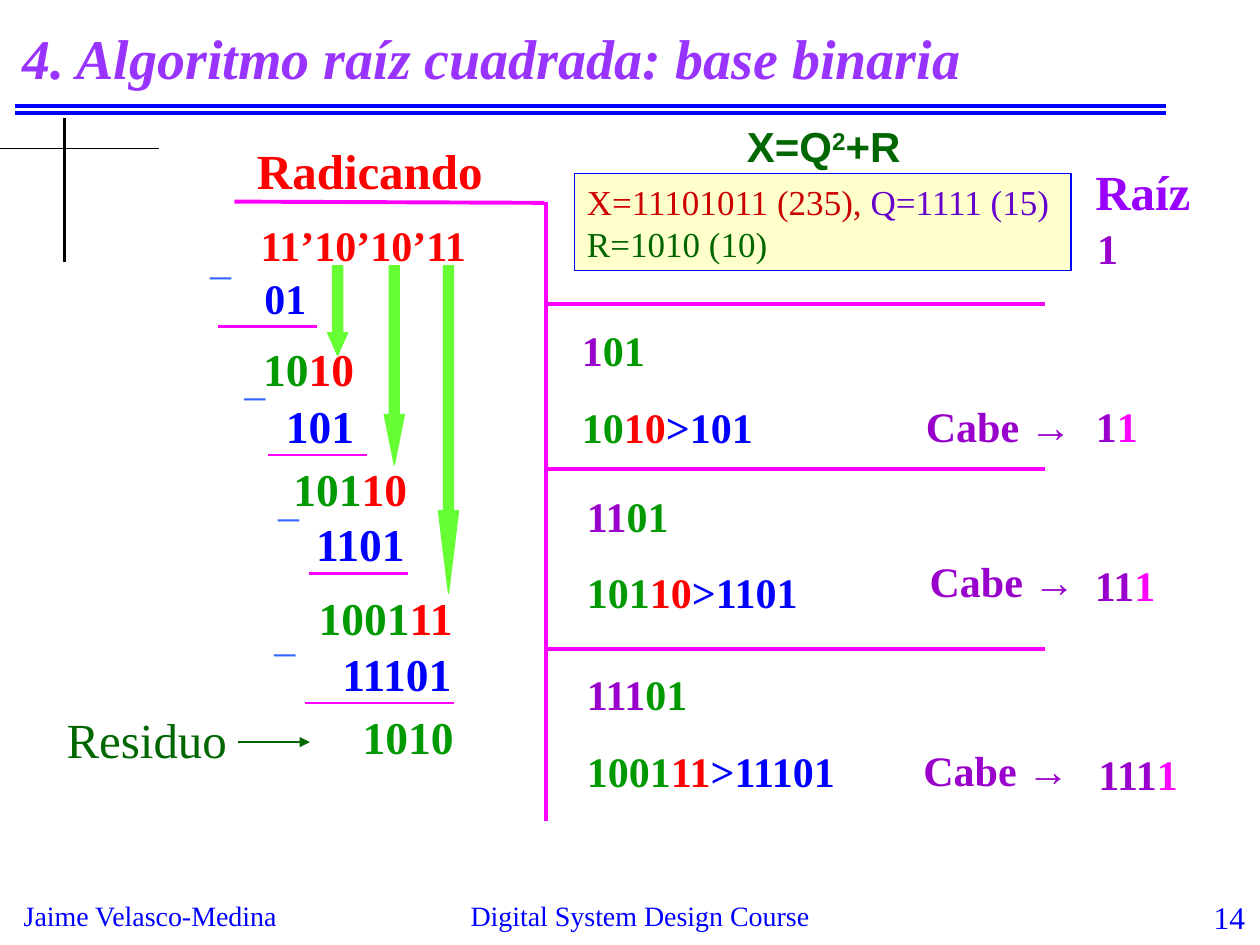
from dataclasses import dataclass

from lxml.etree import SubElement
from pptx import Presentation
from pptx.dml.color import RGBColor
from pptx.enum.shapes import MSO_CONNECTOR, MSO_SHAPE
from pptx.enum.text import MSO_ANCHOR, MSO_AUTO_SIZE, PP_ALIGN
from pptx.oxml.ns import qn
from pptx.util import Inches, Pt

BLUE = RGBColor(0x00, 0x00, 0xFF)
BLACK = RGBColor(0x00, 0x00, 0x00)
RED = RGBColor(0xFF, 0x00, 0x00)
DARK_RED = RGBColor(0xCC, 0x00, 0x00)
GREEN = RGBColor(0x00, 0x99, 0x00)
DARK_GREEN = RGBColor(0x00, 0x66, 0x00)
LIME = RGBColor(0x66, 0xFF, 0x33)
MAGENTA = RGBColor(0xFF, 0x00, 0xFF)
PURPLE = RGBColor(0x99, 0x00, 0xCC)
VIOLET = RGBColor(0x99, 0x00, 0xFF)
INDIGO = RGBColor(0x66, 0x00, 0xCC)
TITLE_VIOLET = RGBColor(0x99, 0x33, 0xFF)
SKY = RGBColor(0x33, 0x66, 0xFF)
CREAM = RGBColor(0xFF, 0xFF, 0xCC)

SERIF = "Times New Roman"


@dataclass
class Run:
    text: str
    color: RGBColor
    baseline: int = 0


@dataclass
class Label:
    left: float
    top: float
    width: float
    height: float
    paragraphs: list[list[Run]]
    size: float = 24
    bold: bool = True
    italic: bool = False
    font: str = SERIF
    align: PP_ALIGN = PP_ALIGN.LEFT
    wrap: bool = True


@dataclass
class Rule:
    x1: float
    y1: float
    x2: float
    y2: float
    color: RGBColor = MAGENTA
    weight: float = 2.25
    arrow: bool = False


@dataclass
class DownArrow:
    left: float
    height: float
    head: float


@dataclass
class Trial:
    left: float
    top: float
    width: float
    root: str
    remainder: str
    pair: str
    fits_left: float
    fits_top: float
    root_left: float
    root_top: float
    root_width: float


def fill_text(tf, label: Label) -> None:
    tf.word_wrap = label.wrap
    for i, runs in enumerate(label.paragraphs):
        p = tf.paragraphs[0] if i == 0 else tf.add_paragraph()
        p.alignment = label.align
        if i:
            p.space_before = Pt(15)
        for run in runs:
            r = p.add_run()
            r.text = run.text
            style = {"name": label.font, "size": Pt(label.size),
                     "bold": label.bold, "italic": label.italic}
            for name, value in style.items():
                setattr(r.font, name, value)
            r.font.color.rgb = run.color
            if run.baseline:
                r.font._element.set("baseline", str(run.baseline))


def place(sp, label: Label) -> None:
    for name in ("left", "top", "width", "height"):
        setattr(sp, name, Inches(getattr(label, name)))


def add_label(s, label: Label) -> None:
    sp = s.shapes.add_textbox(0, 0, 0, 0)
    place(sp, label)
    fill_text(sp.text_frame, label)


def add_rule(s, rule: Rule) -> None:
    ends = (Inches(v) for v in (rule.x1, rule.y1, rule.x2, rule.y2))
    cx = s.shapes.add_connector(MSO_CONNECTOR.STRAIGHT, *ends)
    cx.line.color.rgb = rule.color
    cx.line.width = Pt(rule.weight)
    if rule.arrow:
        SubElement(cx.line._get_or_add_ln(), qn("a:tailEnd"), type="triangle")
    SubElement(cx._element.spPr, qn("a:effectLst"))


def add_filled(s, kind: MSO_SHAPE, box: tuple, fill: RGBColor, line: RGBColor):
    sp = s.shapes.add_shape(kind, *(Inches(v) for v in box))
    sp.shadow.inherit = False
    sp.fill.solid()
    sp.fill.fore_color.rgb = fill
    sp.line.color.rgb = line
    sp.line.width = Pt(0.75)
    return sp


def add_arrow(s, arrow: DownArrow) -> None:
    box = (arrow.left, 2.11, 0.16, arrow.height)
    sp = add_filled(s, MSO_SHAPE.DOWN_ARROW, box, LIME, LIME)
    sp.adjustments[0] = 0.5
    sp.adjustments[1] = arrow.head


def add_trial(s, t: Trial) -> None:
    candidate = [Run(t.root, PURPLE), Run("01", GREEN)]
    comparison = [Run(t.remainder, GREEN), Run(t.pair, RED), Run(f">{t.root}01", BLUE)]
    add_label(s, Label(t.left, t.top, t.width, 1.11, [candidate, comparison]))
    add_label(s, Label(t.fits_left, t.fits_top, 1.5, 0.5, [[Run("Cabe →", PURPLE)]]))
    add_label(s, Label(t.root_left, t.root_top, t.root_width, 0.5,
                       [[Run(t.root, PURPLE), Run("1", MAGENTA)]]))


RULES = [
    *(Rule(0.12, y, 9.25, y, BLUE) for y in (0.84, 0.9)),
    Rule(0.51, 0.94, 0.51, 2.08, BLACK, 1.5),
    Rule(0, 1.18, 1.26, 1.18, BLACK, 0.75),
    Rule(1.86, 1.6, 4.32, 1.61),
    Rule(4.33, 1.6, 4.33, 6.52),
    *(Rule(4.35, y, 8.29, y) for y in (2.41, 3.72, 5.15)),
    *(Rule(x1, y, x2, y, weight=1.5) for x1, x2, y in (
        (1.73, 2.52, 2.59), (2.13, 2.91, 3.61), (2.45, 3.24, 4.55), (2.42, 3.6, 5.58))),
    Rule(1.89, 5.89, 2.46, 5.89, DARK_GREEN, 0.75, arrow=True),
]

LABELS = [
    Label(0.09, 7.08, 2.24, 0.37, [[Run("Jaime Velasco-Medina", BLUE)]], 16, False, wrap=False),
    Label(3.33, 7.08, 3.5, 0.33, [[Run("Digital System Design Course", BLUE)]], 16, False,
          align=PP_ALIGN.CENTER),
    Label(9.29, 7.08, 0.69, 0.33, [[Run("14", BLUE)]], 18, False, align=PP_ALIGN.RIGHT),
    Label(1.93, 1.07, 2.01, 0.57, [[Run("Radicando", RED)]], 28, align=PP_ALIGN.CENTER),
    Label(8.52, 1.23, 1.1, 0.57, [[Run("Raíz", VIOLET)]], 28, align=PP_ALIGN.CENTER),
    Label(0.4, 5.58, 1.53, 0.57, [[Run("Residuo", DARK_GREEN)]], 28, False,
          align=PP_ALIGN.CENTER),
    Label(5.83, 0.91, 1.42, 0.5,
          [[Run("X=Q", DARK_GREEN), Run("2", DARK_GREEN, 30000), Run("+R", DARK_GREEN)]],
          font="Arial", wrap=False),
    Label(8.61, 1.72, 0.47, 0.5, [[Run("1", PURPLE)]]),
    Label(1.97, 1.69, 2.52, 0.5, [[Run("11’10’10’11", RED)]]),
    Label(2, 2.11, 0.71, 0.5, [[Run("01", BLUE)]]),
    *(Label(x, y, 0.55, 0.5, [[Run("_", SKY)]], bold=False)
      for x, y in ((1.57, 1.8), (1.84, 2.76), (2.11, 3.72), (2.08, 4.79))),
    *(Label(x, y, 1.38, 0.54, [[Run(rest, GREEN), Run(pair, RED)]], 26)
      for x, y, rest, pair in (
          (1.99, 2.66, "10", "10"), (2.23, 3.61, "101", "10"), (2.43, 4.63, "1001", "11"))),
    *(Label(x, y, w, 0.54, [[Run(text, BLUE)]], 26, wrap=False)
      for x, y, w, text in (
          (2.17, 3.11, 0.74, "101"), (2.41, 4.05, 0.92, "1101"), (2.62, 5.08, 1.1, "11101"))),
    Label(2.78, 5.58, 1.18, 0.54, [[Run("1010", GREEN)]], 26),
]

ARROWS = [DownArrow(2.6, 0.71, 1.122), DownArrow(3.05, 1.58, 2.496),
          DownArrow(3.48, 2.6, 4.103)]

TRIALS = [
    Trial(4.52, 2.53, 2.32, "1", "10", "10", 7.25, 3.13, 8.6, 3.13, 0.63),
    Trial(4.56, 3.84, 2.32, "11", "101", "10", 7.28, 4.36, 8.59, 4.39, 1.02),
    Trial(4.56, 5.26, 2.69, "111", "1001", "11", 7.23, 5.86, 8.62, 5.89, 0.94),
]

TITLE = Label(0.08, 0.08, 9.17, 0.75,
              [[Run("4. Algoritmo raíz cuadrada: base binaria", TITLE_VIOLET)]], 32, italic=True)

SUMMARY = Label(4.56, 1.38, 3.94, 0.77,
                [[Run("X=11101011 (235), ", DARK_RED), Run("Q=1111 (15)", INDIGO),
                  Run(" R=1010 (10)", DARK_GREEN)]], 20, False)


def main() -> None:
    prs = Presentation()
    prs.slide_width, prs.slide_height = Inches(10), Inches(7.5)
    s = prs.slides.add_slide(prs.slide_layouts[5])

    title = s.shapes.title
    place(title, TITLE)
    title.text_frame.auto_size = MSO_AUTO_SIZE.NONE
    title.text_frame.vertical_anchor = MSO_ANCHOR.MIDDLE
    fill_text(title.text_frame, TITLE)

    for rule in RULES:
        add_rule(s, rule)
    box = (SUMMARY.left, SUMMARY.top, SUMMARY.width, SUMMARY.height)
    summary = add_filled(s, MSO_SHAPE.RECTANGLE, box, CREAM, BLUE)
    summary.text_frame.vertical_anchor = MSO_ANCHOR.TOP
    fill_text(summary.text_frame, SUMMARY)
    for arrow in ARROWS:
        add_arrow(s, arrow)
    for label in LABELS:
        add_label(s, label)
    for trial in TRIALS:
        add_trial(s, trial)

    prs.save("out.pptx")


if __name__ == "__main__":
    main()
